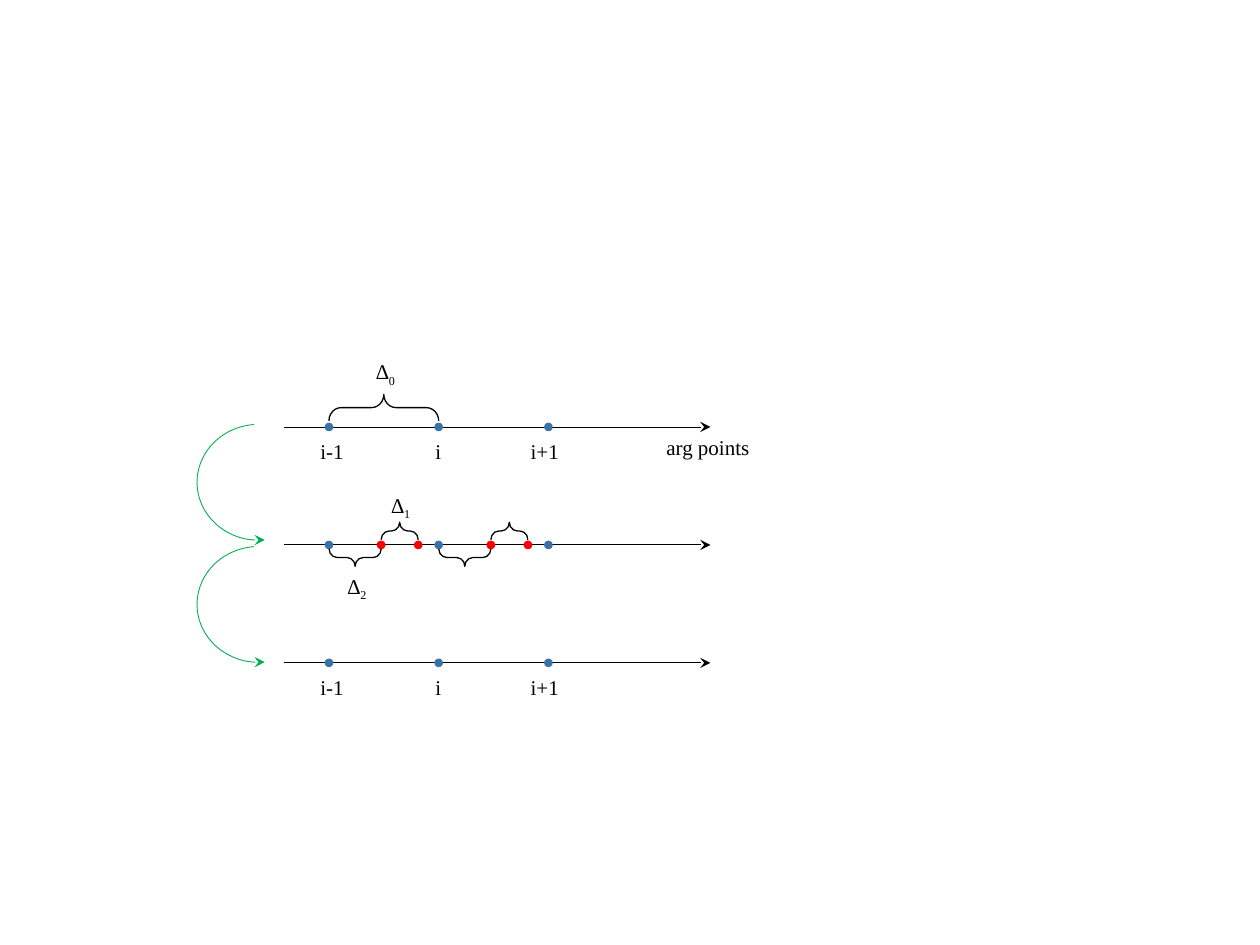
from pptx import Presentation
from pptx.dml.color import RGBColor
from pptx.enum.shapes import MSO_CONNECTOR, MSO_SHAPE
from pptx.enum.text import MSO_AUTO_SIZE, PP_ALIGN
from pptx.oxml.ns import qn
from pptx.util import Pt
from lxml import etree

STRAIGHT = MSO_CONNECTOR.STRAIGHT
OVAL, BRACE, ARC = MSO_SHAPE.OVAL, MSO_SHAPE.RIGHT_BRACE, MSO_SHAPE.ARC
GROW = MSO_AUTO_SIZE.SHAPE_TO_FIT_TEXT
LEFT, CENTER = PP_ALIGN.LEFT, PP_ALIGN.CENTER

BLACK = RGBColor(0x00, 0x00, 0x00)
BLUE = RGBColor(0x2E, 0x75, 0xB6)
BLUE_EDGE = RGBColor(0x43, 0x73, 0x9E)
RED = RGBColor(0xFF, 0x00, 0x00)
GREEN = RGBColor(0x00, 0xB0, 0x50)

FONT = "Times New Roman"
AXIS_WIDTH = 244
FIRST_POINT = 26
POINT_GAP = 62.7
INNER_OFFSETS = (29.8, 51)
DOT_SIZE = 3.9
LABEL_HEIGHT = 21.6


def add_stealth(line_format, end):
    """Put a stealth arrowhead on one end of an outlined line."""
    line = line_format._get_or_add_ln()
    etree.SubElement(line, qn("a:" + end), type="stealth")


def add_label(shapes, left, top, width, text, subscript="", align=CENTER):
    """Add a text label with an optional subscript."""
    box = shapes.add_textbox(Pt(left), Pt(top), Pt(width), Pt(LABEL_HEIGHT))
    frame = box.text_frame
    frame.word_wrap = True
    frame.auto_size = GROW
    para = frame.paragraphs[0]
    para.text = text
    para.alignment = align
    if subscript:
        span = para.add_run()
        span.text = subscript
        span._r.get_or_add_rPr().set("baseline", "-25000")
    for span in para.runs:
        span.font.name = FONT
        span.font.size = Pt(12)
        span.font.color.rgb = BLACK


def add_dot(shapes, x, y, fill, edge):
    """Add a dot centred on a point of the axis."""
    dot = shapes.add_shape(OVAL, Pt(x - DOT_SIZE / 2), Pt(y - DOT_SIZE / 2),
                           Pt(DOT_SIZE), Pt(DOT_SIZE))
    dot.shadow.inherit = False
    dot.fill.solid()
    dot.fill.fore_color.rgb = fill
    dot.line.color.rgb = edge
    dot.line.width = Pt(1)


def add_outline(shapes, kind, left, top, width, height, color, weight, adjustments):
    """Add an unfilled, adjusted preset shape."""
    shape = shapes.add_shape(kind, Pt(left), Pt(top), Pt(width), Pt(height))
    shape.shadow.inherit = False
    shape.fill.background()
    shape.line.color.rgb = color
    shape.line.width = Pt(weight)
    for index, value in enumerate(adjustments):
        shape.adjustments[index] = value
    return shape


def add_brace(shapes, start, end, y, depth, rotation):
    """Add a turned brace spanning start to end, centred at height y."""
    span = end - start
    brace = add_outline(shapes, BRACE, (start + end - depth) / 2, y - span / 2,
                        depth, span, BLACK, 0.75, (0.463, 0.5))
    brace.rotation = rotation


def add_axis(shapes, left, y):
    """Add an arrowed axis with its three main points and return their positions."""
    axis = shapes.add_connector(STRAIGHT, Pt(left), Pt(y), Pt(left + AXIS_WIDTH), Pt(y))
    axis.line.color.rgb = BLACK
    axis.line.width = Pt(0.5)
    add_stealth(axis.line, "tailEnd")
    etree.SubElement(axis._element.spPr, qn("a:effectLst"))
    points = [left + FIRST_POINT + POINT_GAP * index for index in range(3)]
    for x in points:
        add_dot(shapes, x, y, BLUE, BLUE_EDGE)
    return points


def add_point_labels(shapes, left, y):
    """Name the three main points below an axis."""
    for index, text in enumerate(("i-1", "i", "i+1")):
        add_label(shapes, left + 5 + 60.8 * index, y + 3.2, 45.4, text)


def add_coarse_axis(shapes, left, y):
    """Add the top axis with its full step marked."""
    points = add_axis(shapes, left, y)
    add_brace(shapes, points[0], points[1], y - 11.1, 15.1, 270)
    add_label(shapes, left + 43.2, y - 42.4, 30.2, "∆", "0")
    add_point_labels(shapes, left, y)
    add_label(shapes, left + 211.7, y + 0.8, 65.5, "arg points", align=LEFT)


def add_refined_axis(shapes, left, y):
    """Add the middle axis with inner points and their two step sizes."""
    points = add_axis(shapes, left, y)
    for start in points[:2]:
        near, far = [start + offset for offset in INNER_OFFSETS]
        add_dot(shapes, near, y, RED, RED)
        add_dot(shapes, far, y, RED, RED)
        add_brace(shapes, near, far, y - 8, 10, 270)
        add_brace(shapes, start, near, y + 7.2, 10, 90)
    add_label(shapes, left + 54, y - 33.5, 26, "∆", "1")
    add_label(shapes, left + 28.1, y + 12.6, 28, "∆", "2")


def add_final_axis(shapes, left, y):
    """Add the bottom axis with the main points only."""
    add_axis(shapes, left, y)
    add_point_labels(shapes, left, y)


def add_return_arc(shapes, left, top):
    """Add a green arc leading down to the next axis."""
    arc = add_outline(shapes, ARC, left, top, 70.6, 66.2, GREEN, 0.5, (50.447, 159.034))
    add_stealth(arc.line, "headEnd")


def main():
    """Build the refinement diagram and save the deck."""
    deck = Presentation()
    deck.slide_width, deck.slide_height = Pt(720), Pt(540)
    page = deck.slides.add_slide(deck.slide_layouts[6])
    shapes = page.shapes.add_group_shape().shapes
    left, top, gap = 162, 244, 67.4
    regions = (add_coarse_axis, add_refined_axis, add_final_axis)
    for index, add_region in enumerate(regions):
        add_region(shapes, left, top + gap * index)
    for index in range(2):
        add_return_arc(shapes, left - 49.4, top - 1.5 + 69.8 * index)
    deck.save("out.pptx")


if __name__ == "__main__":
    main()
